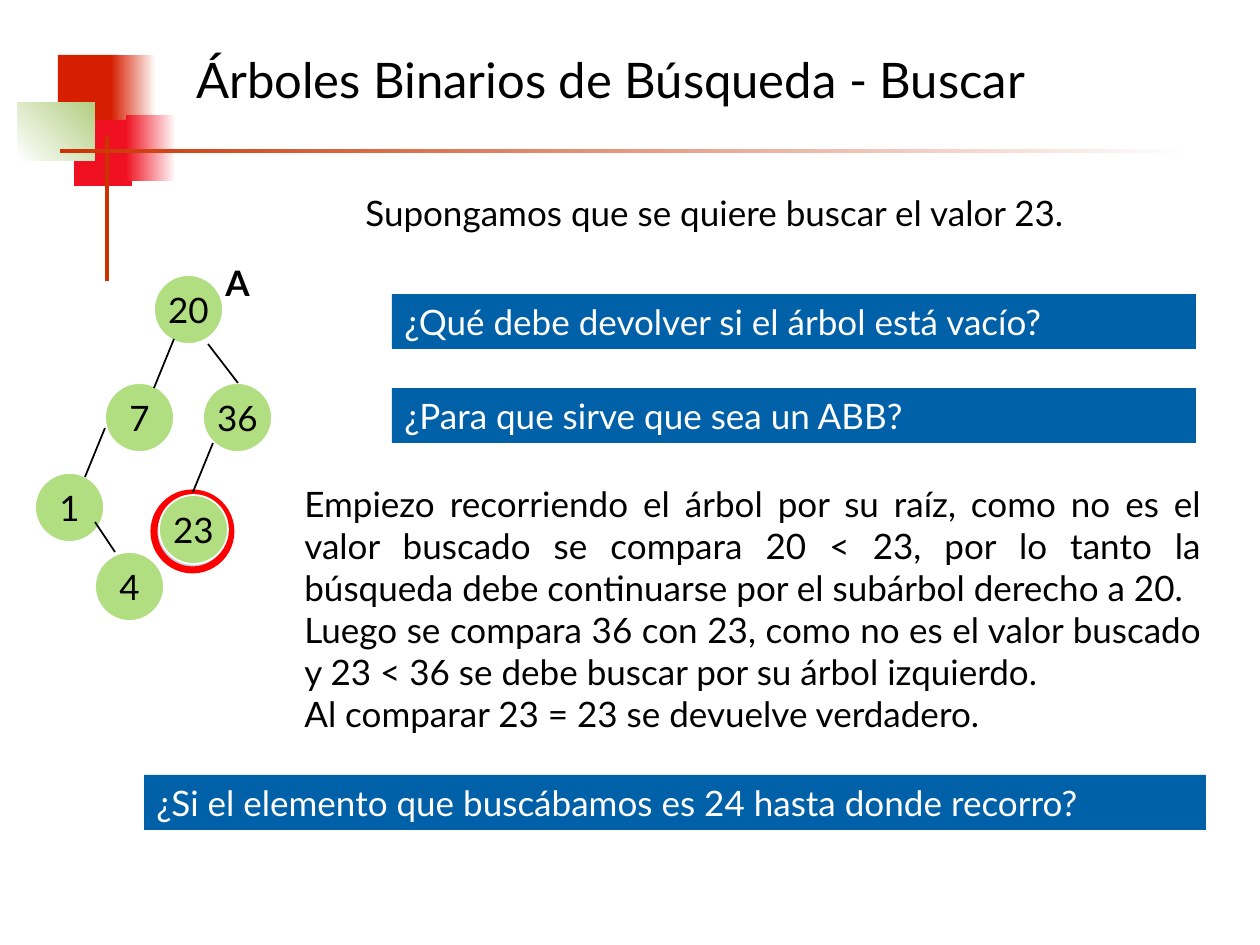
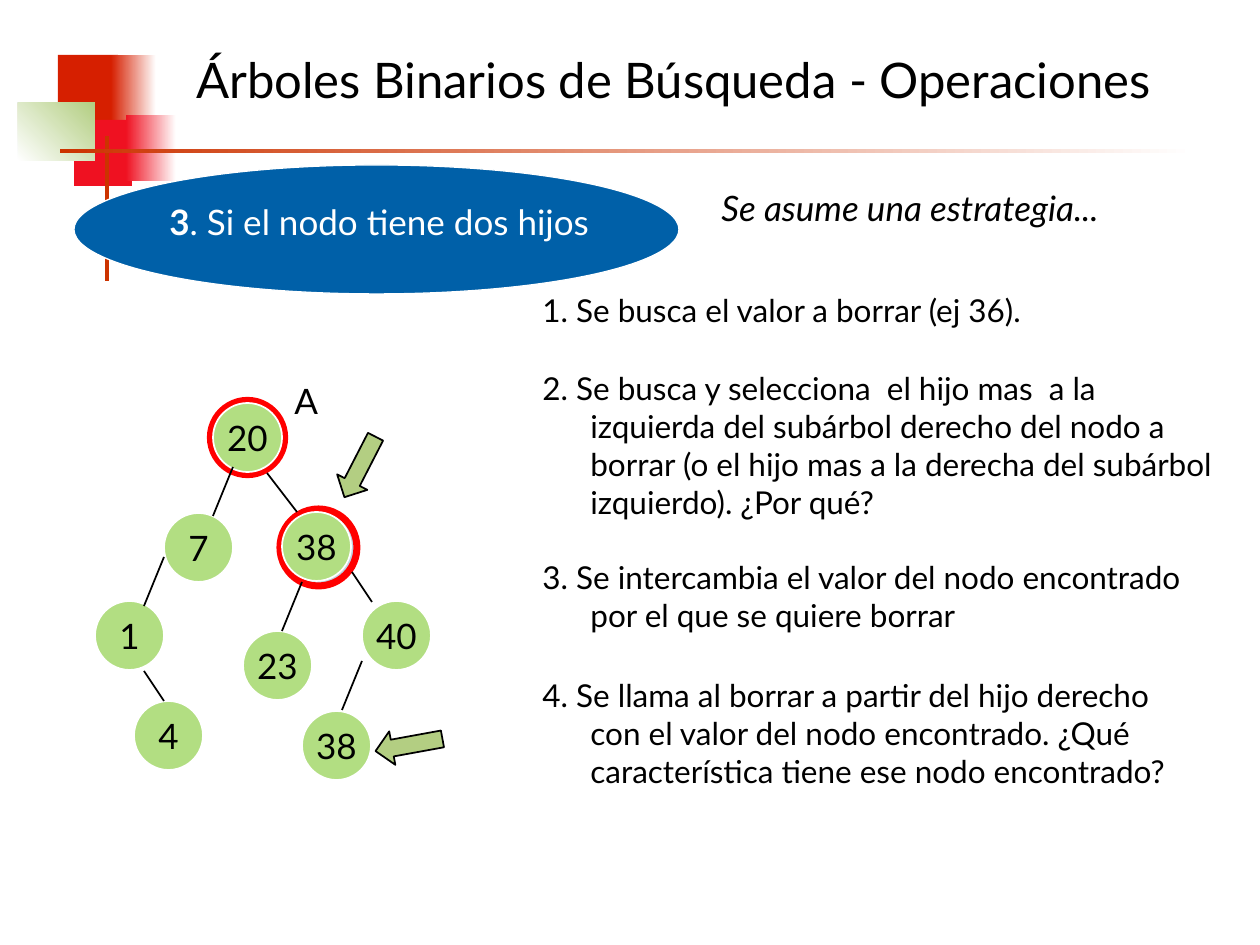
from dataclasses import dataclass

from pptx import Presentation
from pptx.dml.color import RGBColor
from pptx.enum.shapes import MSO_CONNECTOR, MSO_SHAPE as Preset
from pptx.enum.text import MSO_ANCHOR as Anchor, PP_ALIGN as Align
from pptx.oxml.ns import qn
from pptx.util import Pt


@dataclass(frozen=True)
class Theme:
    font: str = "Lato"
    title_size: int = 28
    text_size: int = 20
    step_size: int = 18
    black: str = "000000"
    white: str = "FFFFFF"
    blue: str = "0060A8"
    node: str = "B2DE82"
    ring_fill: str = "BED1E0"
    ring_line: str = "FF0000"
    sage: str = "B3CE82"
    brick: str = "D61F00"
    crimson: str = "EF1121"
    rust: str = "CC3300"


theme = Theme()
PX = 914400 / 126
NODE = 69
LEFT, RIGHT, SHORT_RIGHT = (-20, 49), (30, 39), (20, 30)
HANGING = 48


def add_shape(slide, preset, box, fill, line=None, weight=1, gradient=None):
    """Add a preset shape; gradient is (end colour, angle)."""
    shape = slide.shapes.add_shape(preset, *(round(length * PX) for length in box))
    shape.shadow.inherit = False
    if gradient:
        end_colour, angle = gradient
        shape.fill.gradient()
        shape.fill.gradient_angle = angle
        for stop, colour in zip(shape.fill.gradient_stops, (fill, end_colour)):
            stop.color.rgb = RGBColor.from_string(colour)
    else:
        shape.fill.solid()
        shape.fill.fore_color.rgb = RGBColor.from_string(fill)
    if line:
        shape.line.color.rgb = RGBColor.from_string(line)
        shape.line.width = Pt(weight)
    else:
        shape.line.fill.background()
    return shape


def add_text(slide, box, paragraphs, size=theme.text_size, colour=theme.black,
             bold=False, italic=False, align=Align.LEFT, anchor=Anchor.TOP,
             hanging=0, shape=None):
    """Write paragraphs in the shape, or in a new text box; a paragraph is a list of (text, bold) runs or a string."""
    if shape is None:
        shape = slide.shapes.add_textbox(*(round(length * PX) for length in box))
    frame = shape.text_frame
    frame.word_wrap = True
    frame.vertical_anchor = anchor
    for index, content in enumerate(paragraphs):
        paragraph = frame.add_paragraph() if index else frame.paragraphs[0]
        paragraph.alignment = align
        if hanging:
            properties = paragraph._p.get_or_add_pPr()
            properties.set("marL", str(round(hanging * PX)))
            properties.set("indent", str(round(-hanging * PX)))
        runs = [(content, bold)] if isinstance(content, str) else content
        for text, run_bold in runs:
            run = paragraph.add_run()
            run.text = text
            run.font.color.rgb = RGBColor.from_string(colour)
            font_format = {"name": theme.font, "size": Pt(size),
                           "bold": run_bold, "italic": italic}
            for name, value in font_format.items():
                setattr(run.font, name, value)
    return frame


presentation = Presentation()
presentation.slide_width = round(1260 * PX)
presentation.slide_height = round(945 * PX)

# Box, fill, gradient
decoration = [
    ((58, 55, 60, 66), theme.brick, None),
    ((111, 55, 45, 66), theme.brick, (theme.white, 0)),
    ((74, 120, 58, 66), theme.crimson, None),
    ((126, 115, 50, 66), theme.crimson, (theme.white, 0)),
    ((18, 103, 77, 58), theme.white, (theme.sage, 45)),
    ((105, 136, 4, 145), theme.rust, None),
    ((60, 149, 1134, 4), theme.rust, (theme.white, 0)),
]

trees = [
    {
        "title": "Árboles Binarios de Búsqueda - Buscar",
        "rings": [(154, 493, 77, 4)],
        "nodes": [("20", 154, 275), ("7", 105, 383), ("36", 203, 383),
                  ("1", 35, 473), ("4", 95, 552), ("23", 159, 495)],
        "edges": [(174, 339, LEFT), (208, 344, RIGHT), (105, 428, LEFT),
                  (95, 522, SHORT_RIGHT), (213, 443, LEFT)],
        "root_label": (213, 255, True),
    },
    {
        "title": "Árboles Binarios de Búsqueda - Operaciones",
        "rings": [(213, 403, 69, 7), (280, 509, 77, 4)],
        "nodes": [("20", 213, 403), ("7", 164, 513), ("38", 282, 512),
                  ("1", 95, 601), ("4", 134, 701), ("23", 243, 631),
                  ("40", 362, 601), ("38", 302, 711)],
        "edges": [(233, 467, LEFT), (267, 473, RIGHT), (164, 557, LEFT),
                  (144, 671, SHORT_RIGHT), (302, 582, LEFT),
                  (352, 572, SHORT_RIGHT), (362, 661, LEFT)],
        "root_label": (282, 373, False),
    },
]

# Shared parts and the tree of each slide
for tree in trees:
    slide = presentation.slides.add_slide(presentation.slide_layouts[6])
    for box, fill, gradient in decoration:
        add_shape(slide, Preset.RECTANGLE, box, fill, gradient=gradient)
    add_text(slide, (184, 16, 1022, 126), [tree["title"]],
             size=theme.title_size, anchor=Anchor.MIDDLE)

    for left, top, diameter, weight in tree["rings"]:
        add_shape(slide, Preset.OVAL, (left, top, diameter, diameter),
                  theme.ring_fill, theme.ring_line, weight)
    for value, left, top in tree["nodes"]:
        box = (left, top, NODE, NODE)
        node = add_shape(slide, Preset.OVAL, box, theme.node, theme.white)
        frame = add_text(slide, box, [value], align=Align.CENTER,
                         anchor=Anchor.MIDDLE, shape=node)
        frame.word_wrap = False
    for x, y, (across, down) in tree["edges"]:
        ends = (x, y, x + across, y + down)
        edge = slide.shapes.add_connector(
            MSO_CONNECTOR.STRAIGHT, *(round(length * PX) for length in ends))
        edge.line.color.rgb = RGBColor.from_string(theme.black)
        edge.line.width = Pt(1)
        properties = edge._element.spPr
        properties.append(properties.makeelement(qn("a:effectLst"), {}))
    left, top, bold = tree["root_label"]
    add_text(slide, (left, top, 50, 55), ["A"], bold=bold)

search_slide, delete_slide = presentation.slides

# Searching for 23
add_text(search_slide, (353, 185, 804, 55),
         ["Supongamos que se quiere buscar el valor 23."])
questions = [
    ((392, 294, 804, 55), "¿Qué debe devolver si el árbol está vacío?"),
    ((392, 388, 804, 55), "¿Para que sirve que sea un ABB?"),
    ((144, 775, 1062, 55),
     "¿Si el elemento que buscábamos es 24 hasta donde recorro?"),
]
for box, question in questions:
    band = add_shape(search_slide, Preset.RECTANGLE, box, theme.blue)
    add_text(search_slide, box, [question], colour=theme.white, shape=band)
add_text(search_slide, (292, 476, 922, 349), [
    "Empiezo recorriendo el árbol por su raíz, como no es el valor buscado "
    "se compara 20 < 23, por lo tanto la búsqueda debe continuarse por el "
    "subárbol derecho a 20.",
    "Luego se compara 36 con 23, como no es el valor buscado y 23 < 36 se "
    "debe buscar por su árbol izquierdo.",
    "Al comparar 23 = 23 se devuelve verdadero.",
], align=Align.JUSTIFY)

# Deleting a node with two children
add_shape(delete_slide, Preset.OVAL, (74, 165, 605, 129),
          theme.blue, theme.white, 0.75)
add_text(delete_slide, (157, 194, 500, 55),
         [[("3", True), (". Si el nodo tiene dos hijos", False)]],
         colour=theme.white)
add_text(delete_slide, (709, 180, 456, 55), ["Se asume una estrategia..."],
         italic=True)
for left, top, rotation in [(343, 433, 27.2), (392, 711, 79.7)]:
    arrow = add_shape(delete_slide, Preset.DOWN_ARROW, (left, top, 34, 68),
                      theme.sage, theme.black)
    arrow.rotation = rotation
steps = [
    (285, 596, 69, "1. Se busca el valor a borrar (ej 36)."),
    (363, 696, 169,
     "2. Se busca y selecciona  el hijo mas  a la izquierda del subárbol "
     "derecho del nodo a borrar (o el hijo mas a la derecha del subárbol "
     "izquierdo). ¿Por qué?"),
    (552, 684, 89,
     "3. Se intercambia el valor del nodo encontrado por el que se quiere "
     "borrar"),
    (670, 684, 149,
     "4. Se llama al borrar a partir del hijo derecho con el valor del nodo "
     "encontrado. ¿Qué característica tiene ese nodo encontrado?"),
]
for top, width, height, step in steps:
    add_text(delete_slide, (530, top, width, height), [step],
             size=theme.step_size, hanging=HANGING)

presentation.save("out.pptx")
